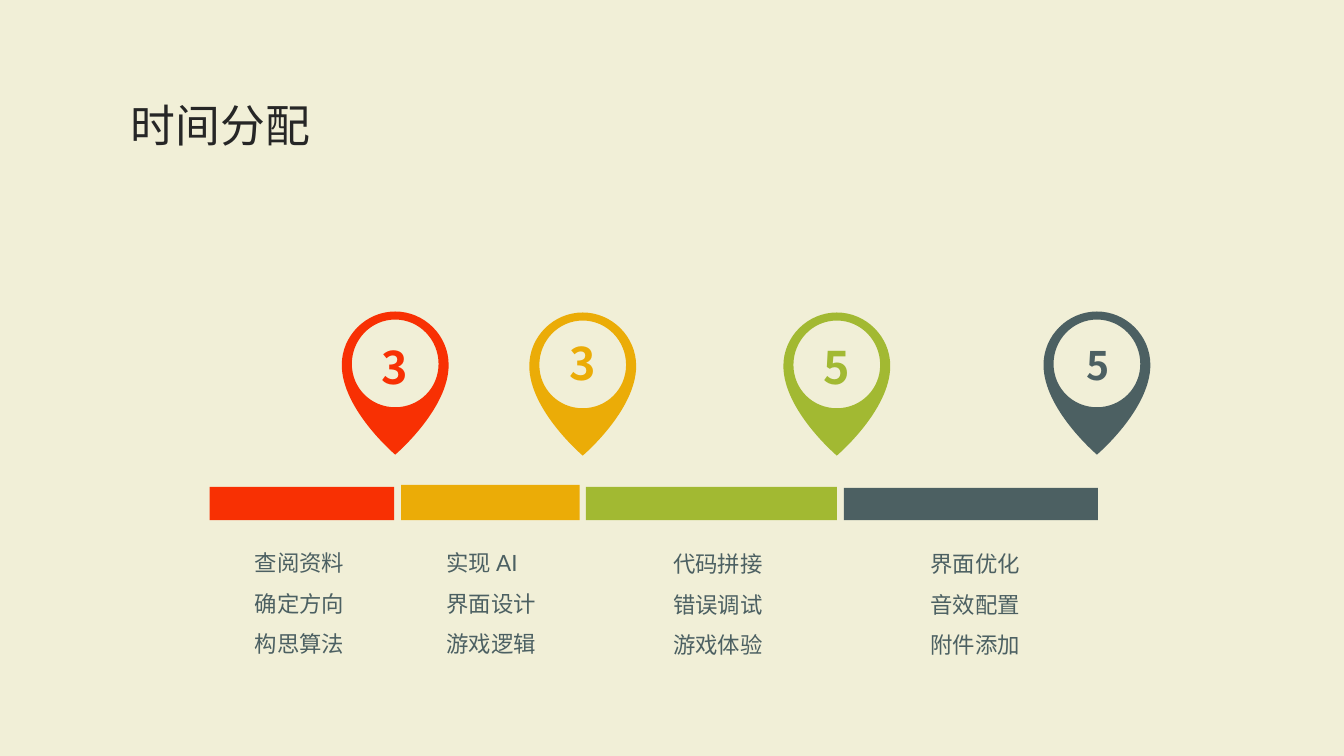
from lxml.etree import SubElement
from pptx import Presentation
from pptx.dml.color import RGBColor
from pptx.enum.shapes import MSO_SHAPE
from pptx.enum.text import MSO_AUTO_SIZE, PP_ALIGN
from pptx.oxml.ns import qn
from pptx.util import Inches, Pt

COLORS = {
    "background": "F1EFD7",
    "title": "262626",
    "red": "F83003",
    "yellow": "EBAC07",
    "green": "A2B932",
    "slate": "4C6062",
}
CHINESE_FONT = "Noto Sans CJK SC"
LATIN_FONT = "Lato"

PIN_OUTLINE = [
    (0, 0), (-0.29, 0), (-0.53, 0.24), (-0.53, 0.53),
    (-0.53, 0.97), (0, 1.42), (0, 1.42),
    (0, 1.42), (0.53, 0.97), (0.53, 0.53),
    (0.53, 0.24), (0.29, 0), (0, 0),
]
PIN_HOLE = [
    (0, 0.95), (-0.24, 0.95), (-0.43, 0.76), (-0.43, 0.52),
    (-0.43, 0.28), (-0.24, 0.08), (0, 0.08),
    (0.24, 0.08), (0.43, 0.28), (0.43, 0.52),
    (0.43, 0.76), (0.24, 0.95), (0, 0.95),
]

STAGES = [
    {
        "color": "red", "bar": (2.08, 4.83, 1.83, 0.33), "pin": (3.92, 3.09),
        "days": "3", "days_box": (3.68, 3.32, 0.48, 0.64), "days_size": 32,
        "tasks_box": (2.43, 5.27, 1.12, 1.31),
        "tasks": [["查阅资料"], ["确定方向"], ["构思算法"]],
    },
    {
        "color": "yellow", "bar": (3.98, 4.81, 1.77, 0.35), "pin": (5.78, 3.1),
        "days": "3", "days_box": (5.54, 3.28, 0.48, 0.64), "days_size": 32,
        "tasks_box": (4.33, 5.27, 2, 1.31),
        "tasks": [["实现 ", "AI"], ["界面设计"], ["游戏逻辑"]],
    },
    {
        "color": "green", "bar": (5.81, 4.83, 2.49, 0.33), "pin": (8.3, 3.1),
        "days": "5", "days_box": (8.06, 3.32, 0.48, 0.64), "days_size": 32,
        "tasks_box": (6.58, 5.28, 1.29, 1.31),
        "tasks": [["代码拼接"], ["错误调试"], ["游戏体验"]],
    },
    {
        "color": "slate", "bar": (8.37, 4.84, 2.52, 0.32), "pin": (10.88, 3.09),
        "days": "5", "days_box": (10.61, 3.34, 0.57, 0.57), "days_size": 28,
        "tasks_box": (9.13, 5.28, 1.9, 1.31),
        "tasks": [["界面优化"], ["音效配置"], ["附件添加"]],
    },
]


def paint(shape, color):
    shape.shadow.inherit = False
    shape.fill.solid()
    shape.fill.fore_color.rgb = RGBColor.from_string(COLORS[color])
    shape.line.fill.background()


def add_bar(slide, box, color):
    bar = slide.shapes.add_shape(MSO_SHAPE.RECTANGLE, *map(Inches, box))
    paint(bar, color)


def lines_to_curves(shape):
    lines = list(shape._element.iter(qn("a:lnTo")))
    for index in range(0, len(lines), 3):
        segment = lines[index:index + 3]
        curve = segment[0].makeelement(qn("a:cubicBezTo"))
        segment[0].addprevious(curve)
        for line in segment:
            curve.append(line[0])
            line.getparent().remove(line)


def add_pin(slide, center, top, color):
    outline, hole = (
        [(Inches(center + x), Inches(top + y)) for x, y in controls]
        for controls in (PIN_OUTLINE, PIN_HOLE)
    )
    builder = slide.shapes.build_freeform(*outline[0], scale=1.0)
    builder.add_line_segments(outline[1:], close=True)
    builder.move_to(*hole[0])
    builder.add_line_segments(hole[1:], close=True)
    pin = builder.convert_to_shape()
    lines_to_curves(pin)
    paint(pin, color)


def add_text(slide, lines, box, size, color, bold=False, align=PP_ALIGN.LEFT,
             spacing=1.0, wrap=True):
    frame = slide.shapes.add_textbox(*map(Inches, box)).text_frame
    frame.word_wrap = wrap
    frame.auto_size = MSO_AUTO_SIZE.SHAPE_TO_FIT_TEXT
    for index, pieces in enumerate(lines):
        paragraph = frame.add_paragraph() if index else frame.paragraphs[0]
        paragraph.alignment = align
        paragraph.line_spacing = spacing
        for piece in pieces:
            run = paragraph.add_run()
            run.text = piece
            run.font.size = Pt(size)
            run.font.bold = bold
            run.font.color.rgb = RGBColor.from_string(COLORS[color])
            is_latin_word = piece.isascii() and piece.isalpha()
            run.font.name = LATIN_FONT if is_latin_word else CHINESE_FONT
            east_asian = SubElement(run.font._element, qn("a:ea"))
            east_asian.set("typeface", CHINESE_FONT)


def main():
    presentation = Presentation()
    presentation.slide_width = Inches(13.33)
    presentation.slide_height = Inches(7.5)
    slide = presentation.slides.add_slide(presentation.slide_layouts[6])
    slide.background.fill.solid()
    slide.background.fill.fore_color.rgb = RGBColor.from_string(COLORS["background"])

    for stage in reversed(STAGES):
        add_pin(slide, *stage["pin"], stage["color"])
    for stage in reversed(STAGES):
        add_bar(slide, stage["bar"], stage["color"])
    for stage in STAGES:
        color = stage["color"]
        add_text(slide, [[stage["days"]]], stage["days_box"], size=stage["days_size"],
                 color=color, bold=True, align=PP_ALIGN.CENTER, wrap=color == "slate")
    for stage in STAGES:
        add_text(slide, stage["tasks"], stage["tasks_box"], size=16, color="slate",
                 spacing=1.5)
    add_text(slide, [["时间分配"]], (1.2, 0.92, 2, 0.64), size=32, color="title",
             wrap=False)
    presentation.save("out.pptx")


if __name__ == "__main__":
    main()
